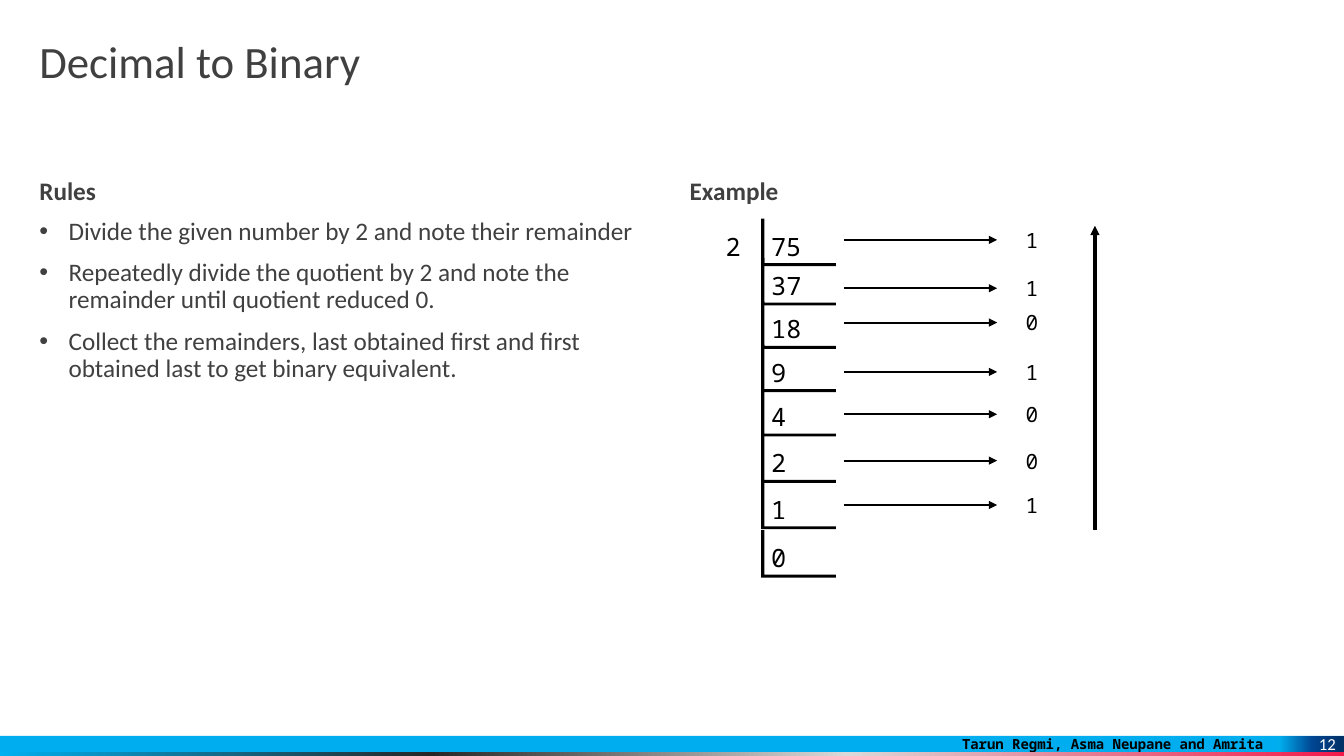
from lxml import etree
from pptx import Presentation
from pptx.dml.color import RGBColor
from pptx.enum.shapes import MSO_CONNECTOR, MSO_SHAPE
from pptx.enum.text import MSO_ANCHOR, PP_ALIGN
from pptx.oxml.ns import qn
from pptx.util import Inches, Pt

TITLE = "Decimal to Binary"
RULES = [
    "Divide the given number by 2 and note their remainder",
    "Repeatedly divide the quotient by 2 and note the remainder until quotient reduced 0.",
    "Collect the remainders, last obtained first and first obtained last to get binary equivalent.",
]
AUTHORS = "Tarun Regmi, Asma Neupane and Amrita"
PAGE_NUMBER = "12"
# Top of each step and its number
QUOTIENTS = [(2.17, "2\t75"), (2.56, "37"), (2.99, "18"), (3.42, "9"),
             (3.86, "4"), (4.32, "2"), (4.78, "1"), (5.26, "0")]
# Height of each arrow and the remainder it points to
REMAINDERS = [(2.38, "1"), (2.86, "1"), (3.2, "0"), (3.69, "1"),
              (4.11, "0"), (4.57, "0"), (5.01, "1")]

GREY = RGBColor(0x40, 0x40, 0x40)
BLACK = RGBColor(0, 0, 0)
WHITE = RGBColor(255, 255, 255)
SKY = RGBColor(0x00, 0xAD, 0xEE)
STRIPE_STOPS = [(0, "F2194A"), (37, "D9D9D9"), (68, "262626"), (100, "00B0F0")]
PAGE_STOPS = [(0, "003065"), (47, "004490"), (100, "00B0F0")]
SANS, MONO = "Calibri", "Noto Sans Mono"
LEFT, CENTER, RIGHT = PP_ALIGN.LEFT, PP_ALIGN.CENTER, PP_ALIGN.RIGHT
TOP, MIDDLE, BOTTOM = MSO_ANCHOR.TOP, MSO_ANCHOR.MIDDLE, MSO_ANCHOR.BOTTOM
RECTANGLE, CORNER = MSO_SHAPE.RECTANGLE, MSO_SHAPE.CORNER

WIDTH, HEIGHT = 13.33, 7.5
MARGIN, COLUMN, GUTTER = 0.39, 6.1, 0.35
HEADING_TOP, LIST_TOP = 1.77, 2.17
STEP_LEFT, STEP_WIDTH, STEP_HEIGHT, LABEL_DROP = 7.55, 0.74, 0.47, 0.07
DIVISOR_SHIFT = 0.45
ARROW_START, ARROW_END, REMAINDER_LEFT, REMAINDER_SIZE = 8.37, 9.89, 10.04, 0.39
READING_X, READING_BOTTOM, READING_TOP = 10.86, 5.26, 2.24
FOOTER_TOP, FOOTER_HEIGHT, PAGE_WIDTH = 7.3, 0.16, 0.65


def set_frame(frame, insets, anchor):
    frame.margin_left, frame.margin_top, frame.margin_right, frame.margin_bottom = map(Inches, insets)
    frame.vertical_anchor = anchor
    frame.word_wrap = True


def style(para, size, face, color, bold=False, align=LEFT):
    para.alignment = align
    font = para.font
    font.size, font.name, font.bold = Pt(size), face, bold
    font.color.rgb = color


def fill_placeholder(box, place, lines, size, bold=False, bulleted=False):
    box.left, box.top, box.width, box.height = map(Inches, place)
    frame = box.text_frame
    frame.text = "\n".join(lines)
    set_frame(frame, (0, 0, 0, 0), TOP)
    for index, para in enumerate(frame.paragraphs):
        para.line_spacing = 0.9
        para.space_before = Pt(10 if index else 0)
        properties = para._p.get_or_add_pPr()
        if bulleted:
            properties.set("marL", str(Inches(0.29)))
            properties.set("indent", str(-Inches(0.29)))
            etree.SubElement(properties, qn("a:buFont")).set("typeface", "Arial")
            etree.SubElement(properties, qn("a:buChar")).set("char", "•")
        style(para, size, SANS, GREY, bold)


def add_block(page, preset, place, color=None, stops=None):
    block = page.shapes.add_shape(preset, *map(Inches, place))
    block.shadow.inherit = False
    block.line.fill.background()
    if stops:
        block.fill.gradient()
        block.fill.gradient_angle = 180
        stop_list = block._element.spPr.find(qn("a:gradFill")).find(qn("a:gsLst"))
        for old_stop in list(stop_list):
            stop_list.remove(old_stop)
        for share, shade in stops:
            stop = etree.SubElement(stop_list, qn("a:gs"), pos=str(share * 1000))
            etree.SubElement(stop, qn("a:srgbClr"), val=shade)
    else:
        block.fill.solid()
        block.fill.fore_color.rgb = color
    return block


def write_block(block, text, insets, anchor, size, face, color, bold=False):
    set_frame(block.text_frame, insets, anchor)
    para = block.text_frame.paragraphs[0]
    para.text = text
    style(para, size, face, color, bold, RIGHT)


def add_label(page, place, text, size, align=LEFT):
    box = page.shapes.add_textbox(*map(Inches, place))
    set_frame(box.text_frame, (0.1, 0.05, 0.1, 0.05), MIDDLE)
    para = box.text_frame.paragraphs[0]
    para.text = text
    if "\t" in text:
        tabs = etree.SubElement(para._p.get_or_add_pPr(), qn("a:tabLst"))
        etree.SubElement(tabs, qn("a:tab"), pos=str(Inches(DIVISOR_SHIFT)), algn="l")
    style(para, size, MONO, BLACK, align=align)


def add_arrow(page, start, end, weight):
    arrow = page.shapes.add_connector(MSO_CONNECTOR.STRAIGHT, *map(Inches, start + end))
    arrow.line.color.rgb = BLACK
    arrow.line.width = Pt(weight)
    etree.SubElement(arrow.line._get_or_add_ln(), qn("a:tailEnd"), type="triangle")
    etree.SubElement(arrow._element.spPr, qn("a:effectLst"))


def add_footer(page):
    bar = add_block(page, RECTANGLE, (0, FOOTER_TOP, WIDTH, FOOTER_HEIGHT), SKY)
    write_block(bar, AUTHORS, (0.1, 0, 0.8, 0), BOTTOM, 10, MONO, BLACK, True)
    stripe_top = FOOTER_TOP + FOOTER_HEIGHT
    add_block(page, RECTANGLE, (0, stripe_top, WIDTH, HEIGHT - stripe_top), stops=STRIPE_STOPS)
    number = add_block(page, RECTANGLE, (WIDTH - PAGE_WIDTH, FOOTER_TOP, PAGE_WIDTH, FOOTER_HEIGHT),
                       stops=PAGE_STOPS)
    write_block(number, PAGE_NUMBER, (0, 0, 0.08, 0), MIDDLE, 12, SANS, WHITE)


def add_division(page):
    for top, text in QUOTIENTS:
        step = add_block(page, CORNER, (STEP_LEFT, top, STEP_WIDTH, STEP_HEIGHT), BLACK)
        step.adjustments[0], step.adjustments[1] = 0.06, 0.07
        shift = DIVISOR_SHIFT if "\t" in text else 0
        add_label(page, (STEP_LEFT - shift, top + LABEL_DROP, 0.85 + shift, 0.4), text, 18)
    for middle, digit in REMAINDERS:
        add_arrow(page, (ARROW_START, middle), (ARROW_END, middle), 1.5)
        add_label(page, (REMAINDER_LEFT, middle - REMAINDER_SIZE / 2, REMAINDER_SIZE, REMAINDER_SIZE),
                  digit, 15, CENTER)
    add_arrow(page, (READING_X, READING_BOTTOM), (READING_X, READING_TOP), 2.25)


def main():
    deck = Presentation()
    deck.slide_width, deck.slide_height = Inches(WIDTH), Inches(HEIGHT)
    page = deck.slides.add_slide(deck.slide_layouts.get_by_name("Comparison"))
    title, rules_heading, rules, example_heading, spare = page.placeholders
    spare._element.getparent().remove(spare._element)

    heading_height = LIST_TOP - HEADING_TOP
    fill_placeholder(title, (MARGIN, MARGIN, 2 * COLUMN + GUTTER, 0.59), [TITLE], 32)
    fill_placeholder(rules, (MARGIN, LIST_TOP, COLUMN, 4.53), RULES, 18, bulleted=True)
    headings = [(rules_heading, "Rules"), (example_heading, "Example")]
    for column, (box, text) in enumerate(headings):
        left = MARGIN + column * (COLUMN + GUTTER)
        fill_placeholder(box, (left, HEADING_TOP, COLUMN, heading_height), [text], 18, bold=True)

    add_footer(page)
    add_division(page)
    deck.save("out.pptx")


if __name__ == "__main__":
    main()
